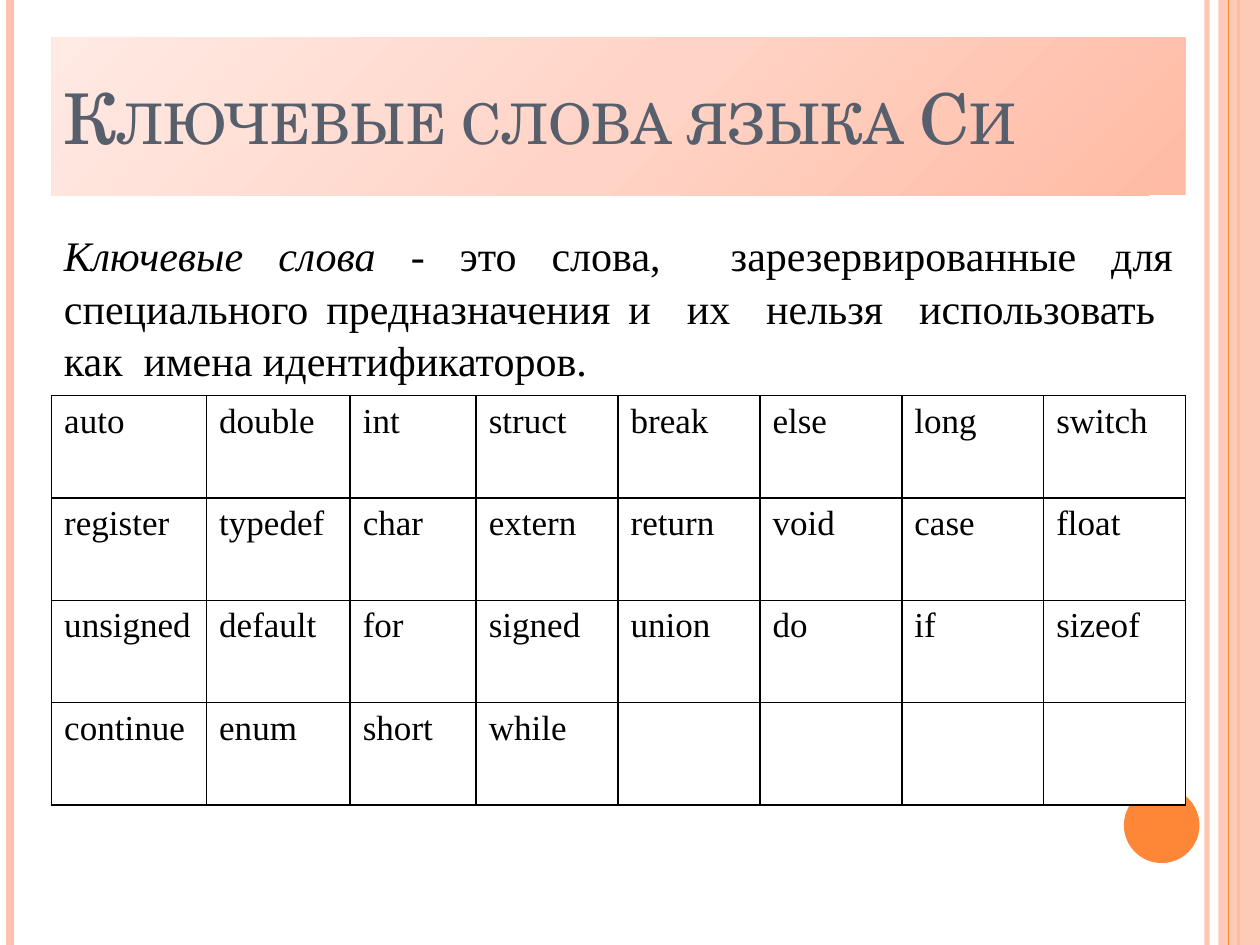
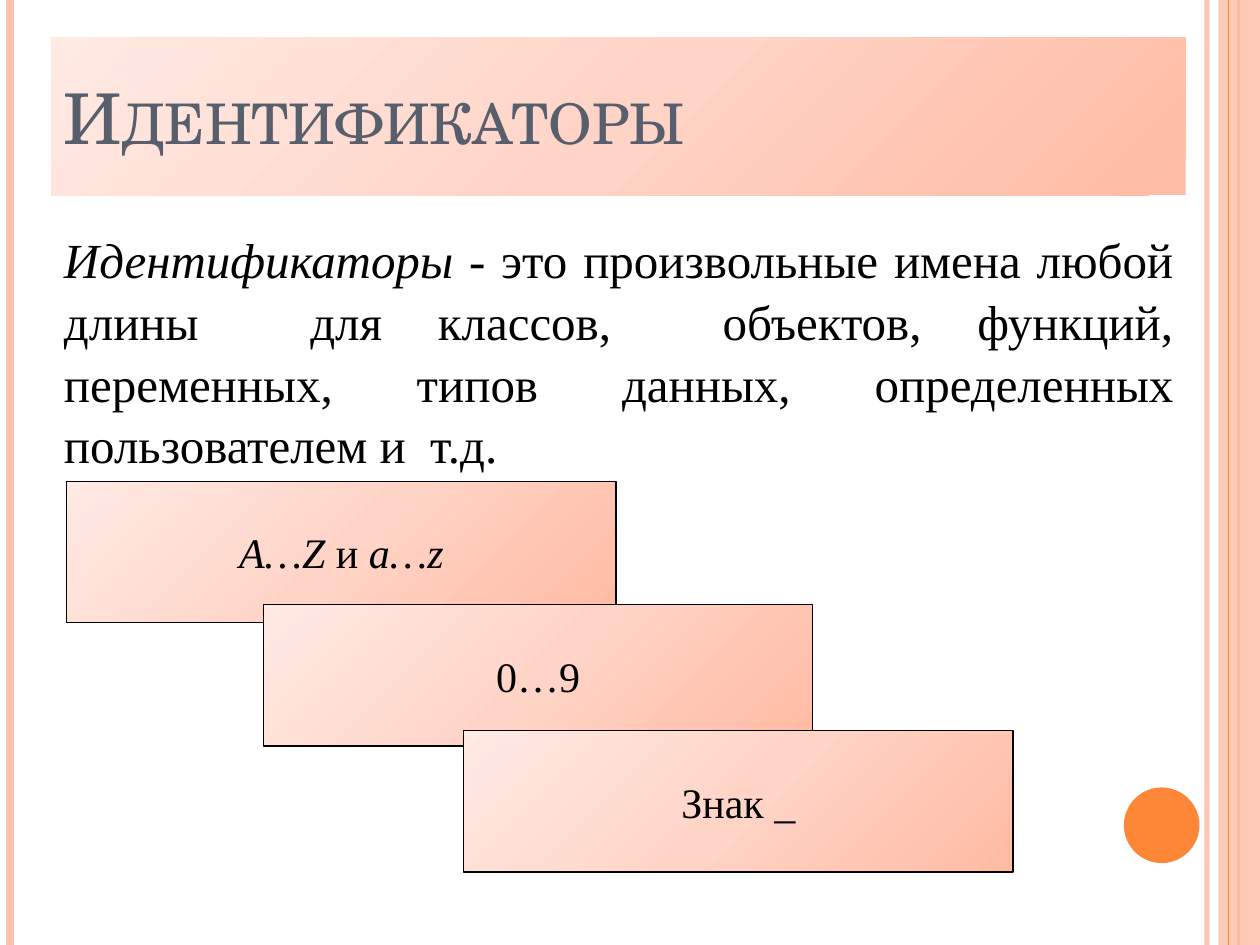
from lxml import etree
from pptx import Presentation
from pptx.dml.color import RGBColor
from pptx.enum.shapes import MSO_CONNECTOR, MSO_SHAPE
from pptx.enum.text import MSO_ANCHOR, PP_ALIGN
from pptx.oxml.ns import qn
from pptx.util import Inches, Pt

STRAIGHT = MSO_CONNECTOR.STRAIGHT
RECTANGLE, OVAL = MSO_SHAPE.RECTANGLE, MSO_SHAPE.OVAL
MIDDLE = MSO_ANCHOR.MIDDLE
LEFT, CENTER, JUSTIFY = PP_ALIGN.LEFT, PP_ALIGN.CENTER, PP_ALIGN.JUSTIFY

COLORS = {
    "text": "000000",
    "title": "575F6D",
    "accent": "FE8637",
    "band": "FEC3AE",
    "cell": "FFFFFF",
}
PANEL_STOPS = [(0, "FFBBA3"), (50, "FFD4C7"), (100, "FFEAE4")]
BODY_FONT = "Times New Roman"
TITLE_FONT = "TeX Gyre Schola"
MARGIN, CONTENT_WIDTH = 0.41, 9


def write_text(text_frame, runs, size, align=LEFT, font=BODY_FONT, color="text",
               small_caps=False, line_spacing=None):
    """Fill the first paragraph with (text, italic) runs."""
    paragraph = text_frame.paragraphs[0]
    paragraph.alignment = align
    paragraph.line_spacing = line_spacing
    for text, italic in runs:
        run = paragraph.add_run()
        run.text = text
        run.font.name = font
        run.font.size = Pt(size)
        run.font.italic = italic
        run.font.color.rgb = RGBColor.from_string(COLORS[color])
        if small_caps:
            run.font._element.set("cap", "small")


def add_gradient_panel(slide, left, top, width, height):
    panel = slide.shapes.add_shape(
        RECTANGLE, Inches(left), Inches(top), Inches(width), Inches(height))
    panel.shadow.inherit = False
    panel.line.fill.background()
    panel.fill.gradient()
    panel.fill.gradient_angle = 135
    stop_list = next(panel._element.spPr.iter(qn("a:gsLst")))
    stop_list.clear()
    for position, color in PANEL_STOPS:
        stop = etree.SubElement(stop_list, qn("a:gs"), pos=str(position * 1000))
        etree.SubElement(stop, qn("a:srgbClr"), val=color)
    panel.text_frame.vertical_anchor = MIDDLE
    return panel


presentation = Presentation()
presentation.slide_width = Inches(10)
presentation.slide_height = Inches(7.5)
blank_layout = presentation.slide_layouts[6]

slide_texts = [
    ("Ключевые слова языка Си", 24, [
        ("Ключевые слова ", True),
        ("- это слова,  зарезервированные для специального предназначения и  их  "
         "нельзя  использовать  как  имена идентификаторов.", False)]),
    ("Идентификаторы", 28, [
        ("Идентификаторы", True),
        (" - это произвольные имена любой длины  для классов,  объектов, функций, "
         "переменных, типов данных, определенных пользователем и  т.д.", False)]),
]

# Position, colour, width in points and opacity; None is the wide right band
edge_stripes = [
    (9.58, "band", 3, 93),
    (0.08, "band", 4.5, 100),
    (9.83, "accent", 1.5, 100),
    (9.67, "band", None, 87),
    (9.75, "accent", 0.75, 100),
]

for title, body_size, body_runs in slide_texts:
    slide = presentation.slides.add_slide(blank_layout)

    for x, color, line_width, opacity in edge_stripes:
        if line_width is None:
            stripe = slide.shapes.add_shape(
                RECTANGLE, Inches(x), 0, Inches(0.33), Inches(7.5))
            stripe.shadow.inherit = False
            stripe.line.fill.background()
            fill = stripe.fill
        else:
            stripe = slide.shapes.add_connector(
                STRAIGHT, Inches(x), 0, Inches(x), Inches(7.5))
            stripe.line.width = Pt(line_width)
            fill = stripe.line.fill
        fill.solid()
        fill.fore_color.rgb = RGBColor.from_string(COLORS[color])
        properties = stripe._element.spPr
        if line_width is not None:
            etree.SubElement(properties, qn("a:effectLst"))
        if opacity < 100:
            color_element = next(properties.iter(qn("a:srgbClr")))
            etree.SubElement(color_element, qn("a:alpha"), val=str(opacity * 1000))

    circle = slide.shapes.add_shape(
        OVAL, Inches(8.92), Inches(6.25), Inches(0.6), Inches(0.6))
    circle.shadow.inherit = False
    circle.line.fill.background()
    circle.fill.solid()
    circle.fill.fore_color.rgb = RGBColor.from_string(COLORS["accent"])

    body = slide.shapes.add_textbox(
        Inches(MARGIN), Inches(1.75), Inches(CONTENT_WIDTH), Inches(5.33))
    body.text_frame.word_wrap = True
    write_text(body.text_frame, body_runs, body_size, align=JUSTIFY, line_spacing=1.05)

    title_panel = add_gradient_panel(slide, MARGIN, 0.3, CONTENT_WIDTH, 1.25)
    write_text(title_panel.text_frame, [(title, False)], 40, font=TITLE_FONT,
               color="title", small_caps=True)

keywords_slide, identifiers_slide = presentation.slides

# Keyword table
keyword_rows = [
    ["auto", "double", "int", "struct", "break", "else", "long", "switch"],
    ["register", "typedef", "char", "extern", "return", "void", "case", "float"],
    ["unsigned", "default", "for", "signed", "union", "do", "if", "sizeof"],
    ["continue", "enum", "short", "while", "", "", "", ""],
]
first_widths = [1.23, 1.14, 1]
other_width = (CONTENT_WIDTH - sum(first_widths)) / 5
column_widths = first_widths + [other_width] * 5

table = keywords_slide.shapes.add_table(
    len(keyword_rows), len(column_widths), Inches(MARGIN), Inches(3.14),
    Inches(CONTENT_WIDTH), Inches(3.25)).table
table.first_row = False
table.horz_banding = False
for column, width in zip(table.columns, column_widths):
    column.width = Inches(width)

for row_index, keywords in enumerate(keyword_rows):
    for column_index, keyword in enumerate(keywords):
        cell = table.cell(row_index, column_index)
        if keyword:
            write_text(cell.text_frame, [(keyword, False)], 20)
        cell_properties = cell._tc.get_or_add_tcPr()
        for side in ("a:lnL", "a:lnR", "a:lnT", "a:lnB"):
            border = etree.SubElement(cell_properties, qn(side), w=str(Pt(1)))
            border_fill = etree.SubElement(border, qn("a:solidFill"))
            etree.SubElement(border_fill, qn("a:srgbClr"), val=COLORS["text"])
        cell.fill.solid()
        cell.fill.fore_color.rgb = RGBColor.from_string(COLORS["cell"])

# Characters allowed in identifiers
character_sets = [
    (0.53, 3.82, [("A…Z ", True), ("и ", False), ("a…z", True)]),
    (2.09, 4.8, [("0…9", False)]),
    (3.68, 5.8, [("Знак _", False)]),
]
for left, top, runs in character_sets:
    panel = add_gradient_panel(identifiers_slide, left, top, 4.36, 1.12)
    panel.line.color.rgb = RGBColor.from_string(COLORS["text"])
    panel.line.width = Pt(0.75)
    panel.text_frame.word_wrap = False
    write_text(panel.text_frame, runs, 24, align=CENTER)

presentation.save("out.pptx")
